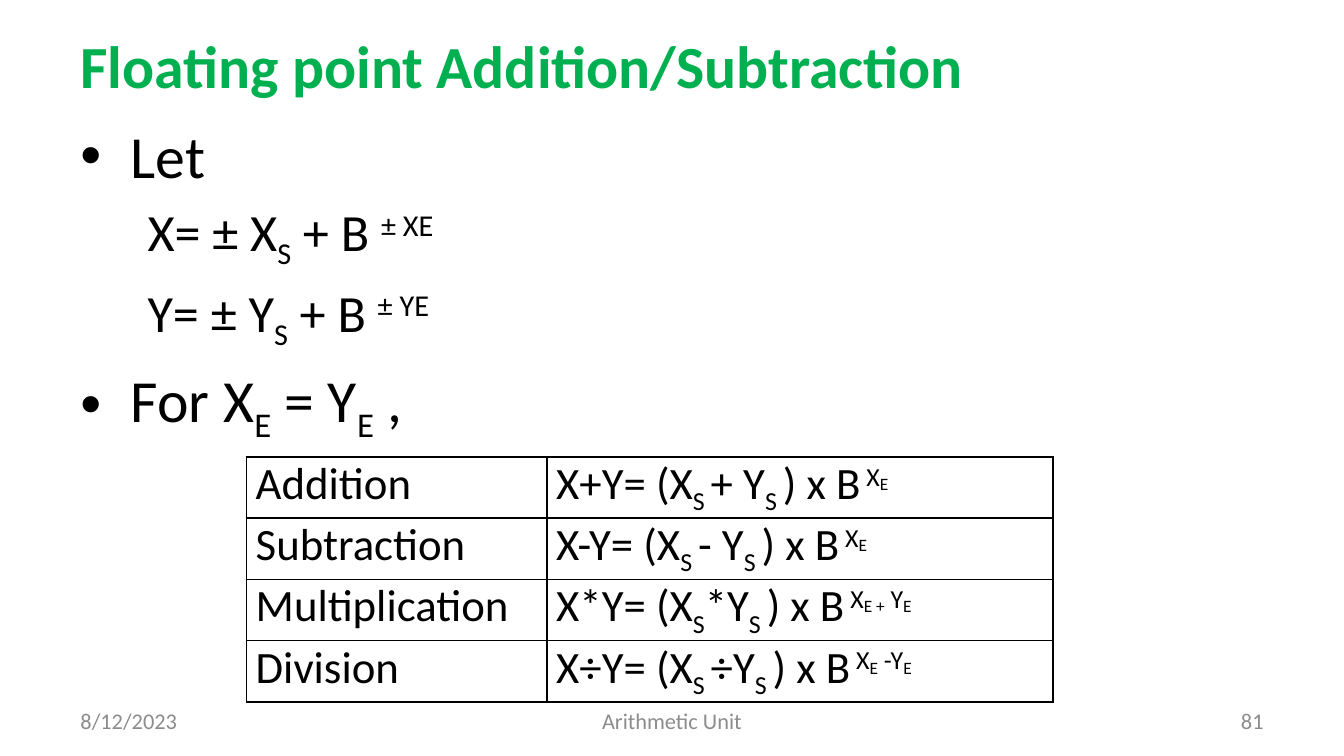
from dataclasses import dataclass

from lxml import etree
from pptx import Presentation
from pptx.dml.color import RGBColor
from pptx.enum.text import MSO_ANCHOR, PP_ALIGN
from pptx.oxml.ns import qn
from pptx.util import Pt

LEFT, CENTER, RIGHT, JUSTIFY = (
    PP_ALIGN.LEFT, PP_ALIGN.CENTER, PP_ALIGN.RIGHT, PP_ALIGN.JUSTIFY)
TOP, MIDDLE = MSO_ANCHOR.TOP, MSO_ANCHOR.MIDDLE
SUB, SUPER = -25000, 30000


@dataclass(frozen=True)
class Theme:
    font: str = "Calibri"
    ink: RGBColor = RGBColor(0, 0, 0)
    heading: RGBColor = RGBColor(0x00, 0xB0, 0x50)
    muted: RGBColor = RGBColor(0x8C, 0x8C, 0x8C)
    title_size: int = 32
    bullet_size: int = 32
    formula_size: int = 28
    table_size: int = 24
    exponent_sub_size: int = 16
    footer_size: int = 12


THEME = Theme()

BODY = [
    (True, [("Let",)]),
    (False, [("X= ± X",), ("S", SUB), (" + B ",), ("± XE", SUPER)]),
    (False, [("Y= ± Y",), ("S", SUB), (" + B ",), ("± YE", SUPER)]),
    (True, [("For X",), ("E", SUB), (" = Y",), ("E", SUB), (" ,",)]),
]

X_EXPONENT = [(" X", SUPER), ("E", SUPER, THEME.exponent_sub_size)]
Y_SUBSCRIPT = ("E", SUPER, THEME.exponent_sub_size)
OPERATIONS = [
    ("Addition", "X+Y= (X", "S ", "+ Y", X_EXPONENT),
    ("Subtraction", "X-Y= (X", "S ", "- Y", X_EXPONENT),
    ("Multiplication", "X*Y= (X", "S", "*Y",
     [(" X", SUPER), ("E +", SUPER, THEME.exponent_sub_size),
      (" Y", SUPER), Y_SUBSCRIPT]),
    ("Division", "X÷Y= (X", "S ", "÷Y",
     X_EXPONENT + [(" -Y", SUPER), Y_SUBSCRIPT]),
]


def write_runs(paragraph, pieces, size, color, bold=False):
    for words, baseline, own_size in (
            (piece + (None, None))[:3] for piece in pieces):
        run = paragraph.add_run()
        run.text = words
        run.font.name = THEME.font
        run.font.size = Pt(own_size or size)
        run.font.bold = bold
        run.font.color.rgb = color
        if baseline:
            run.font._element.set("baseline", str(baseline))


def add_frame(slide, left, top, width, height, anchor):
    frame = slide.shapes.add_textbox(
        Pt(left), Pt(top), Pt(width), Pt(height)).text_frame
    frame.word_wrap = True
    frame.vertical_anchor = anchor
    return frame


def add_line(slide, words, left, top, width, height, size, color,
             align=LEFT, bold=False):
    paragraph = add_frame(
        slide, left, top, width, height, MIDDLE).paragraphs[0]
    paragraph.alignment = align
    write_runs(paragraph, [(words,)], size, color, bold)


def set_indent(paragraph, margin, first_line, bullet=None):
    properties = paragraph._p.get_or_add_pPr()
    properties.set("marL", str(Pt(margin)))
    properties.set("indent", str(Pt(first_line)))
    if bullet:
        etree.SubElement(properties, qn("a:buFont"), typeface="Arial")
        etree.SubElement(properties, qn("a:buChar"), char=bullet)


def add_body(slide):
    frame = add_frame(slide, 36, 60, 648, 303, TOP)
    for index, (bulleted, pieces) in enumerate(BODY):
        paragraph = frame.add_paragraph() if index else frame.paragraphs[0]
        if index:
            paragraph.space_before = Pt(6 if bulleted else 5)
        if bulleted:
            set_indent(paragraph, 27, -27, "•")
        else:
            set_indent(paragraph, 36, 0)
        size = THEME.bullet_size if bulleted else THEME.formula_size
        write_runs(paragraph, pieces, size, THEME.ink)


def set_borders(cell):
    properties = cell._tc.get_or_add_tcPr()
    for index, side in enumerate(("a:lnL", "a:lnR", "a:lnT", "a:lnB")):
        border = etree.Element(qn(side), w=str(Pt(1)))
        fill = etree.SubElement(border, qn("a:solidFill"))
        etree.SubElement(fill, qn("a:srgbClr"), val=str(THEME.ink))
        properties.insert(index, border)


def fill_cell(cell, pieces):
    cell.fill.background()
    cell.margin_left = cell.margin_right = Pt(5)
    cell.margin_top = cell.margin_bottom = 0
    paragraph = cell.text_frame.paragraphs[0]
    paragraph.alignment = JUSTIFY
    write_runs(paragraph, pieces, THEME.table_size, THEME.ink)
    set_borders(cell)


def add_operations(slide):
    row_height = 32.5
    table = slide.shapes.add_table(
        len(OPERATIONS), 2, Pt(132), Pt(244.8), Pt(432),
        Pt(row_height * len(OPERATIONS))).table
    table.first_row = table.horz_banding = False
    table.columns[0].width, table.columns[1].width = Pt(161), Pt(271)
    for index, (name, start, first_sub, middle, exponent) in enumerate(
            OPERATIONS):
        table.rows[index].height = Pt(row_height)
        formula = [(start,), (first_sub, SUB), (middle,), ("S ", SUB),
                   (") x B",)] + exponent
        fill_cell(table.cell(index, 0), [(name,)])
        fill_cell(table.cell(index, 1), formula)


def main():
    presentation = Presentation()
    presentation.slide_width, presentation.slide_height = Pt(720), Pt(405)
    slide = presentation.slides.add_slide(presentation.slide_layouts[6])
    add_line(slide, "Floating point Addition/Subtraction", 36, 16.6, 648, 36,
             THEME.title_size, THEME.heading, bold=True)
    add_body(slide)
    for words, left, width, align in (
            ("8/12/2023", 36, 168, LEFT),
            ("81", 516, 168, RIGHT),
            ("Arithmetic Unit", 246, 228, CENTER)):
        add_line(slide, words, left, 375.4, width, 21.6,
                 THEME.footer_size, THEME.muted, align)
    add_operations(slide)
    presentation.save("out.pptx")


if __name__ == "__main__":
    main()
